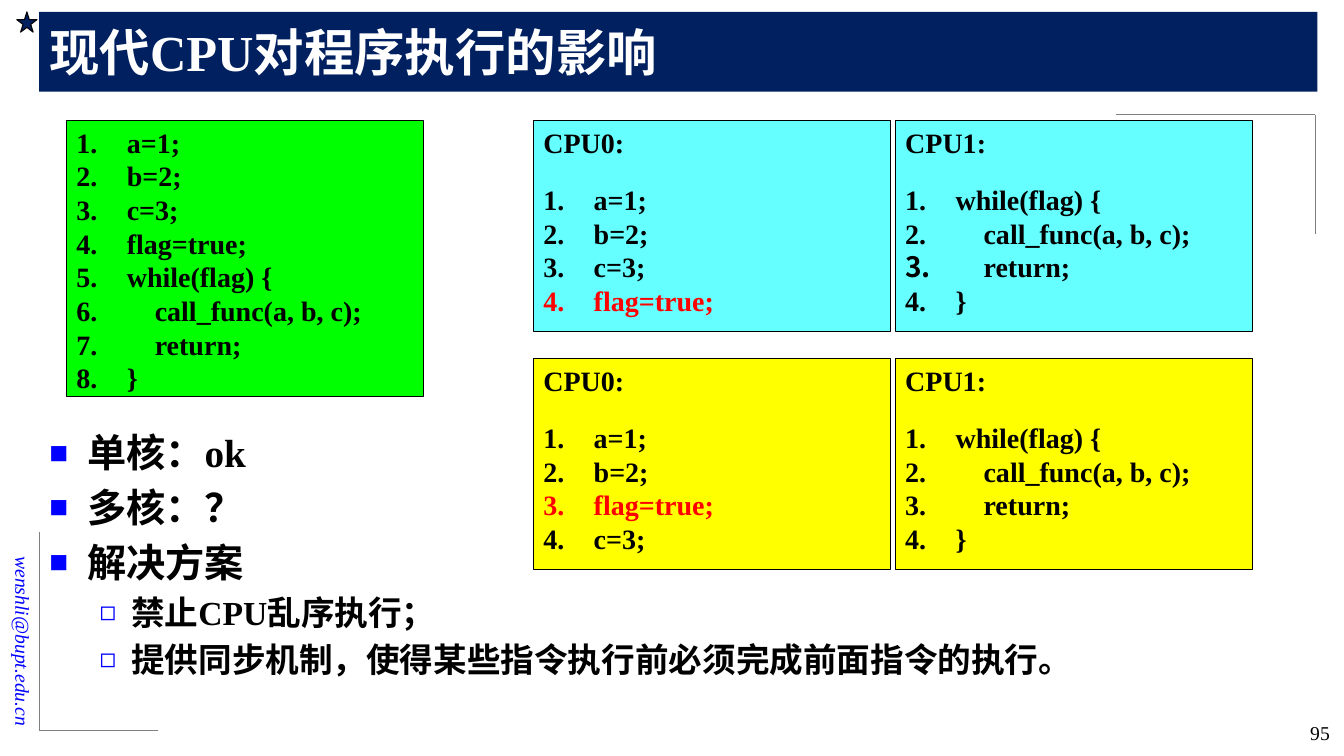
from lxml import etree
from pptx import Presentation
from pptx.dml.color import RGBColor
from pptx.enum.shapes import MSO_CONNECTOR, MSO_SHAPE
from pptx.enum.text import MSO_ANCHOR, MSO_AUTO_SIZE, PP_ALIGN
from pptx.oxml.ns import qn
from pptx.util import Pt

LINE = MSO_CONNECTOR.STRAIGHT
RECT, STAR = MSO_SHAPE.RECTANGLE, MSO_SHAPE.STAR_5_POINT
LEFT, RIGHT = PP_ALIGN.LEFT, PP_ALIGN.RIGHT
TOP, MIDDLE = MSO_ANCHOR.TOP, MSO_ANCHOR.MIDDLE
FIXED = MSO_AUTO_SIZE.NONE

FACE = "Times New Roman"
COLORS = {
    "navy": "002060", "white": "FFFFFF", "black": "000000",
    "blue": "0000FF", "gray": "808080", "red": "FF0000",
    "green": "00FF00", "cyan": "66FFFF", "yellow": "FFFF00",
}
LOOP = ["while(flag) {", "    call_func(a, b, c);", "    return;", "}"]
WIDE = LOOP[:2] + ["　return;", "}"]
STEPS = ["a=1;", "b=2;", "c=3;", "flag=true;"]
SWAP = STEPS[:2] + ["flag=true;", "c=3;"]
POINTS = [
    (0, "单核：ok"),
    (0, "多核：？"),
    (0, "解决方案"),
    (1, "禁止CPU乱序执行；"),
    (1, "提供同步机制，使得某些指令执行前必须完成前面指令的执行。"),
]
# Size, left margin, hanging indent and bullet of each list level
LEVELS = [(28, 27, 27, "■"), (24, 58.5, 22.5, "◻")]


def rgb(name):
    return RGBColor.from_string(COLORS[name])


def style(para, size, color, bold=False, italic=False):
    font = para.font
    font.name, font.size = FACE, Pt(size)
    font.bold, font.italic = bold, italic
    font.color.rgb = rgb(color)


def place(shape, left, top, width, height):
    shape.left, shape.top = Pt(left), Pt(top)
    shape.width, shape.height = Pt(width), Pt(height)


def hang(para, margin, indent):
    """Set a hanging indent and return the paragraph properties."""
    props = para._p.get_or_add_pPr()
    props.set("marL", str(Pt(margin)))
    props.set("indent", str(-Pt(indent)))
    return props


def mark(para, margin, indent, char):
    props = hang(para, margin, indent)
    tint = etree.SubElement(props, qn("a:buClr"))
    etree.SubElement(tint, qn("a:srgbClr"), val=COLORS["blue"])
    etree.SubElement(props, qn("a:buSzPct"), val="80000")
    etree.SubElement(props, qn("a:buChar"), char=char)


def add_rule(slide, x1, y1, x2, y2):
    rule = slide.shapes.add_connector(LINE, Pt(x1), Pt(y1), Pt(x2), Pt(y2))
    rule.line.color.rgb = rgb("gray")
    rule.line.width = Pt(0.5)
    etree.SubElement(rule._element.spPr, qn("a:effectLst"))


def add_shape(slide, kind, box, fill):
    shape = slide.shapes.add_shape(kind, *map(Pt, box))
    shape.shadow.inherit = False
    shape.fill.solid()
    shape.fill.fore_color.rgb = rgb(fill)
    shape.line.color.rgb = rgb("black")
    shape.line.width = Pt(0.75)
    return shape


def add_note(slide, box, text, color, italic=False):
    note = slide.shapes.add_textbox(*map(Pt, box))
    frame = note.text_frame
    frame.word_wrap = True
    frame.vertical_anchor = MIDDLE
    para = frame.paragraphs[0]
    para.text, para.alignment = text, RIGHT
    style(para, 14, color, italic=italic)
    return note


def add_code(slide, box, fill, lines, head=None, hot=None):
    """Draw a box of numbered code, with an optional heading and red line."""
    frame = add_shape(slide, RECT, box, fill).text_frame
    frame.word_wrap = True
    frame.vertical_anchor = TOP
    para = frame.paragraphs[0]
    if head:
        para.text, para.alignment = head, LEFT
        para.space_after = Pt(16.8)
        style(para, 20, "black", bold=True)
        para = frame.add_paragraph()
    for i, line in enumerate(lines):
        if i:
            para = frame.add_paragraph()
        para.text, para.alignment = line, LEFT
        props = hang(para, 36, 36)
        etree.SubElement(props, qn("a:buAutoNum"), type="arabicPeriod")
        style(para, 20, "red" if line == hot else "black", bold=True)


def add_frame(slide):
    for x, y, right, down in [(28, 8.5, 142, 42.5), (28, 521.5, 85, -141.5),
                              (939.5, 82, -142, 85)]:
        add_rule(slide, x, y, x, y + down)
        add_rule(slide, x, y, x + right, y)
    add_shape(slide, STAR, (12, 8.5, 14.5, 14.5), "navy")
    mail = add_note(slide, (-78.5, 418.5, 190, 24.5),
                    "wenshli@bupt.edu.cn", "blue", italic=True)
    mail.rotation = 90


def set_title(slide, text):
    title = slide.shapes.title
    slide.shapes._spTree.append(title._element)
    place(title, 28, 8.5, 913, 57)
    title.fill.solid()
    title.fill.fore_color.rgb = rgb("navy")
    frame = title.text_frame
    frame.auto_size, frame.vertical_anchor = FIXED, MIDDLE
    para = frame.paragraphs[0]
    para.text, para.alignment = text, LEFT
    style(para, 36, "white", bold=True)


def set_list(slide, points):
    body = slide.placeholders[1]
    place(body, 28, 302.5, 910, 219)
    frame = body.text_frame
    frame.auto_size = FIXED
    for i, (level, text) in enumerate(points):
        para = frame.add_paragraph() if i else frame.paragraphs[0]
        size, margin, indent, char = LEVELS[level]
        para.text, para.level = text, level
        para.space_before = Pt(size * 0.2 if i else 0)
        mark(para, margin, indent, char)
        style(para, size, "black", bold=True)


def main():
    deck = Presentation()
    deck.slide_width, deck.slide_height = Pt(960), Pt(540)
    slide = deck.slides.add_slide(deck.slide_layouts[1])
    add_frame(slide)
    set_title(slide, "现代CPU对程序执行的影响")
    set_list(slide, POINTS)
    add_note(slide, (877, 510, 80, 26), "95", "black")

    add_code(slide, (47.5, 86, 255, 197.5), "green", STEPS + LOOP)
    rows = [("cyan", STEPS, WIDE), ("yellow", SWAP, LOOP)]
    for row, (fill, *cores) in enumerate(rows):
        for col, lines in enumerate(cores):
            box = (381 + 258.5 * col, 86 + 170 * row, 255, 150.5)
            add_code(slide, box, fill, lines, f"CPU{col}:", "flag=true;")
    deck.save("out.pptx")


if __name__ == "__main__":
    main()
